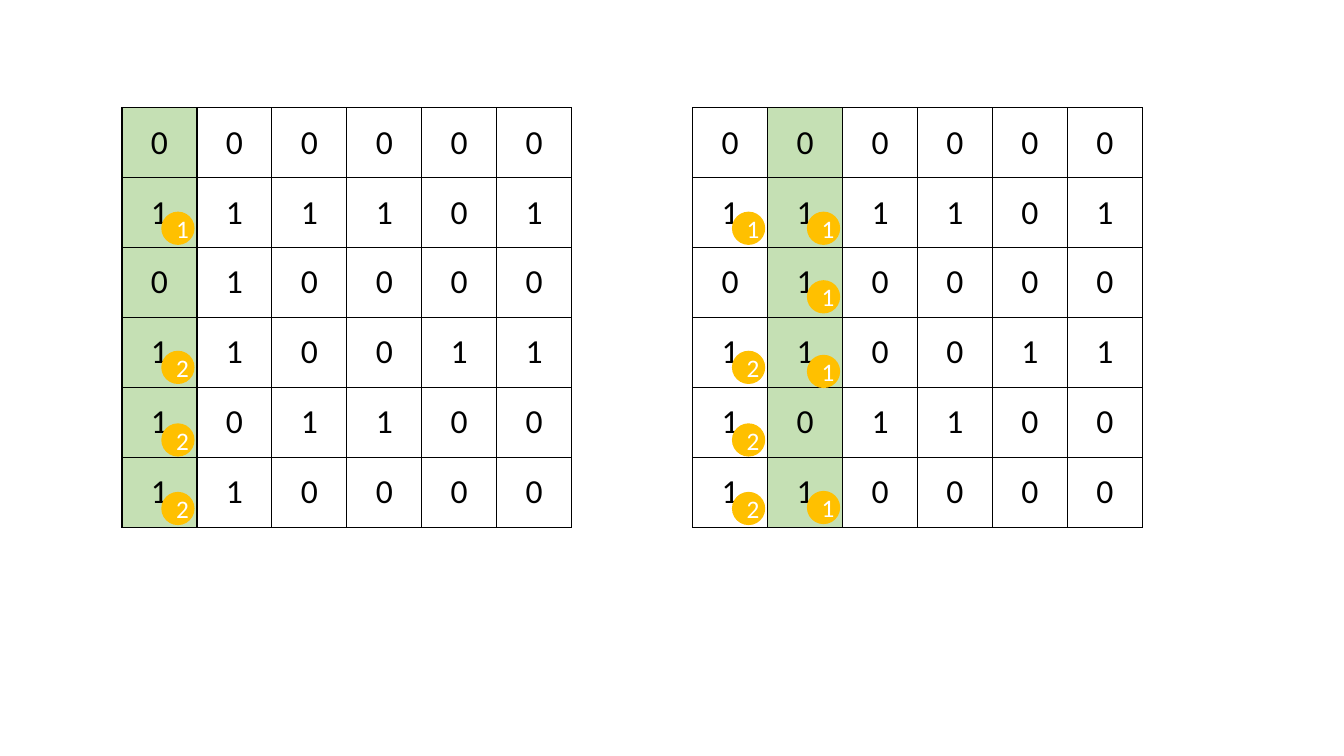
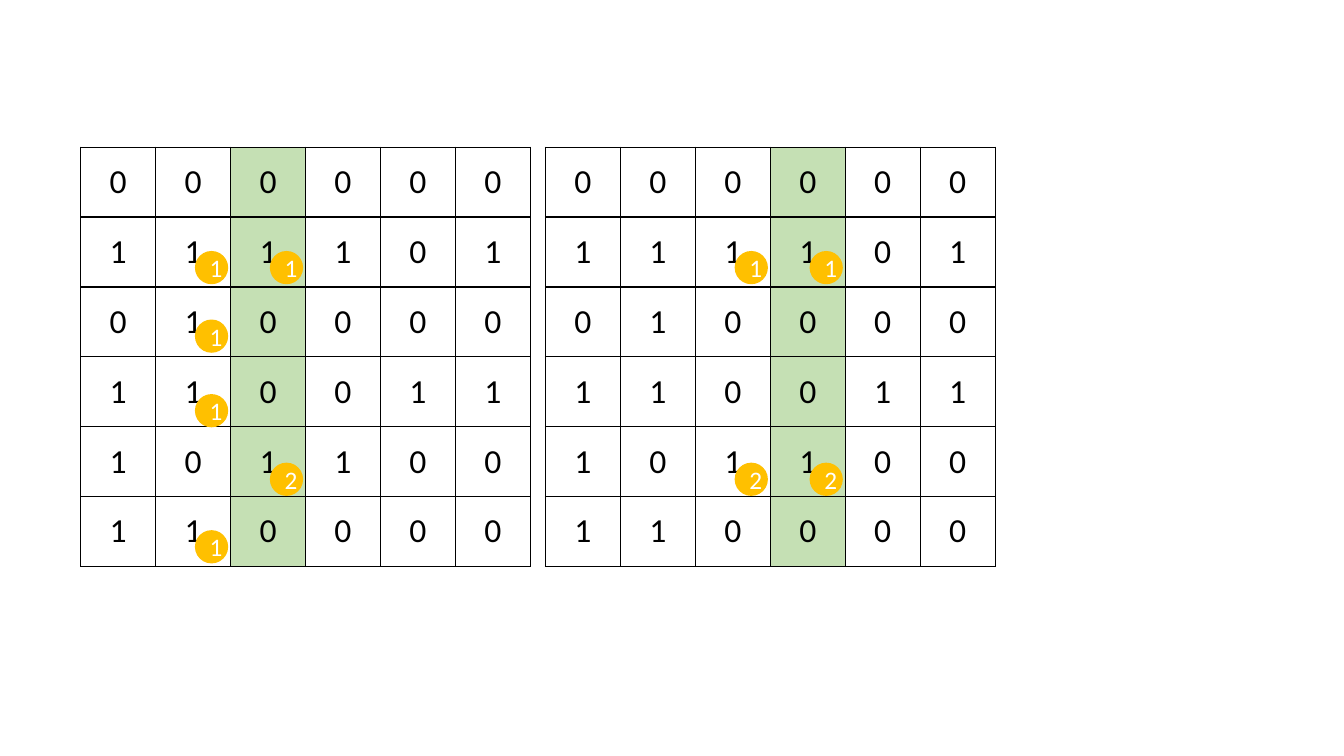
from lxml.etree import SubElement
from pptx import Presentation
from pptx.dml.color import RGBColor
from pptx.enum.shapes import MSO_SHAPE
from pptx.enum.text import MSO_ANCHOR, PP_ALIGN
from pptx.oxml.ns import qn
from pptx.util import Inches, Pt

MATRIX = ["000000", "111101", "010000", "110011", "101100", "110000"]
COLUMN_BADGES = [
    [("1", 1.03), ("2", 2.41), ("2", 3.13), ("2", 3.81)],
    [("1", 1.03), ("1", 1.71), ("1", 2.45), ("1", 3.8)],
    [("1", 1.03), ("2", 3.13)],
    [("1", 1.03), ("2", 3.13)],
]
SLIDES = [
    {"top": 1.07, "steps": [(1.21, 0), (6.87, 1)]},
    {"top": 1.46, "steps": [(0.8, 2), (5.41, 3)]},
]

GRID_WIDTH, GRID_HEIGHT = 4.46, 4.16
COLUMN_WIDTH = GRID_WIDTH / len(MATRIX[0])
ROW_HEIGHT = GRID_HEIGHT / len(MATRIX)
BADGE_SIZE, BADGE_INDENT = 0.33, 0.39

FONT = "Calibri"
BLACK = RGBColor(0x00, 0x00, 0x00)
WHITE = RGBColor(0xFF, 0xFF, 0xFF)
GREEN = RGBColor(0xC5, 0xE0, 0xB4)
AMBER = RGBColor(0xFF, 0xC0, 0x00)


def write_digit(frame, digit, size, color):
    paragraph = frame.paragraphs[0]
    paragraph.text = digit
    paragraph.alignment = PP_ALIGN.CENTER
    paragraph.font.name = FONT
    paragraph.font.size = Pt(size)
    paragraph.font.color.rgb = color


def outline(cell):
    properties = cell._tc.get_or_add_tcPr()
    for side in ("a:lnL", "a:lnR", "a:lnT", "a:lnB"):
        border = SubElement(properties, qn(side), w=str(Pt(1)))
        fill = SubElement(border, qn("a:solidFill"))
        SubElement(fill, qn("a:srgbClr"), val=str(BLACK))


def add_grid(slide, left, top, current):
    grid = slide.shapes.add_table(
        len(MATRIX), len(MATRIX[0]), Inches(left), Inches(top),
        Inches(GRID_WIDTH), Inches(GRID_HEIGHT)).table
    grid.first_row = False
    grid.horz_banding = False
    for column in grid.columns:
        column.width = Inches(COLUMN_WIDTH)
    for row in grid.rows:
        row.height = Inches(ROW_HEIGHT)
    for r, digits in enumerate(MATRIX):
        for c, digit in enumerate(digits):
            cell = grid.cell(r, c)
            cell.vertical_anchor = MSO_ANCHOR.MIDDLE
            write_digit(cell.text_frame, digit, 24, BLACK)
            outline(cell)
            if c == current:
                cell.fill.solid()
                cell.fill.fore_color.rgb = GREEN
            else:
                cell.fill.background()


def add_badges(slide, left, top, column):
    badge_left = left + BADGE_INDENT + column * COLUMN_WIDTH
    for digit, drop in COLUMN_BADGES[column]:
        badge = slide.shapes.add_shape(
            MSO_SHAPE.OVAL, Inches(badge_left), Inches(top + drop),
            Inches(BADGE_SIZE), Inches(BADGE_SIZE))
        badge.shadow.inherit = False
        badge.fill.solid()
        badge.fill.fore_color.rgb = AMBER
        badge.line.fill.background()
        write_digit(badge.text_frame, digit, 18, WHITE)


deck = Presentation()
deck.slide_width = Inches(13.33)
deck.slide_height = Inches(7.5)
for content in SLIDES:
    slide = deck.slides.add_slide(deck.slide_layouts[6])
    top = content["top"]
    for left, current in content["steps"]:
        add_grid(slide, left, top, current)
        for column in range(max(current - 1, 0), current + 1):
            add_badges(slide, left, top, column)
deck.save("out.pptx")
